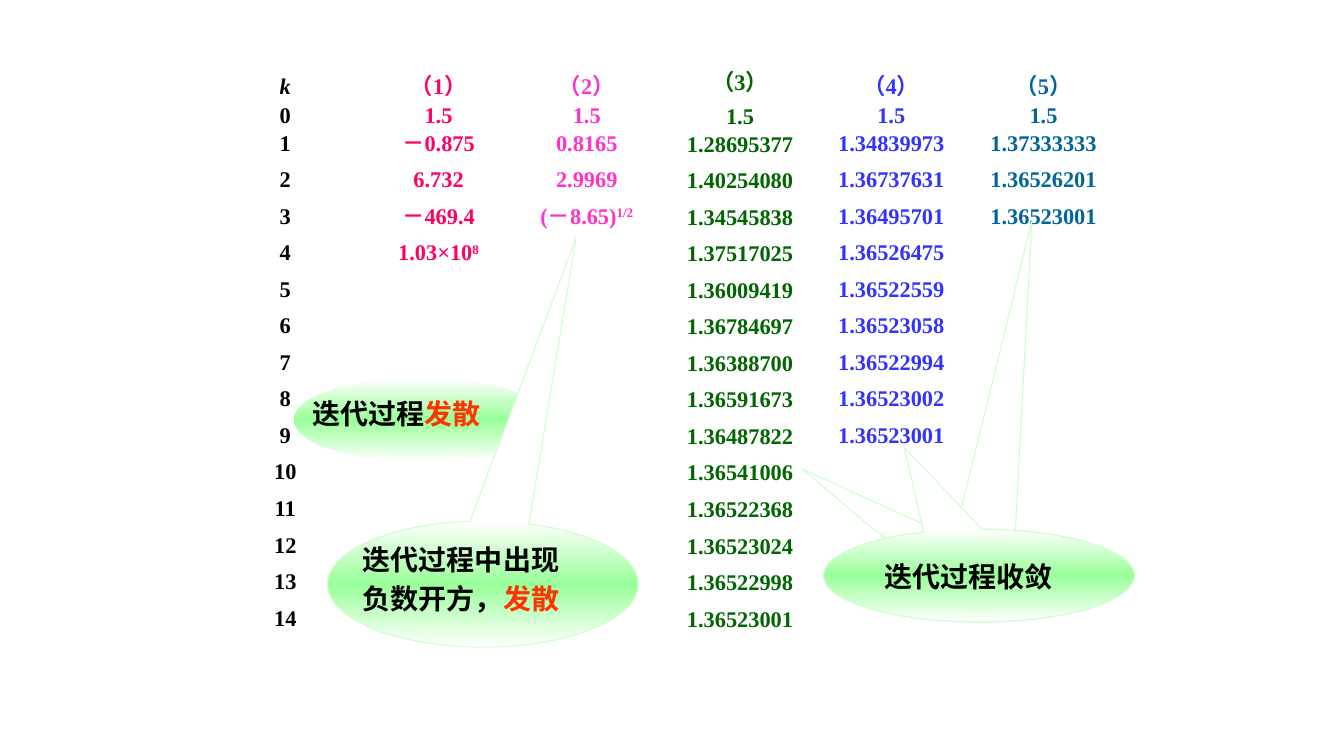
from dataclasses import dataclass

from lxml.etree import SubElement
from pptx import Presentation
from pptx.dml.color import RGBColor
from pptx.enum.shapes import MSO_SHAPE
from pptx.enum.text import MSO_ANCHOR, MSO_AUTO_SIZE, PP_ALIGN
from pptx.oxml import parse_xml
from pptx.oxml.ns import nsdecls, qn
from pptx.slide import Slide
from pptx.text.text import TextFrame, _Paragraph
from pptx.util import Inches, Pt

LATIN = "Times New Roman"
CJK = "Noto Sans CJK SC"
BLACK = "000000"
RED = "FF3300"
HEAD_H = 0.28
ROW_H = 4.71 / 13


@dataclass
class Column:
    left: float
    color: str
    header: str
    values: list[str]
    width: float = 1.3
    header_top: float = 0.67
    top: float = 0.95
    italic: bool = False


@dataclass
class Label:
    left: float
    top: float
    width: float
    height: float
    lines: list[list[tuple[str, str]]]
    wrap: bool = False


@dataclass
class Callout:
    left: float
    top: float
    width: float
    height: float
    tails: list[tuple[float, float]]
    label: Label
    outline: str | None = "CCFFCC"


COLUMNS = [
    Column(6.67, "006600", "（3）",
           ["1.5", "1.28695377", "1.40254080", "1.34545838", "1.37517025",
            "1.36009419", "1.36784697", "1.36388700", "1.36591673", "1.36487822",
            "1.36541006", "1.36522368", "1.36523024", "1.36522998", "1.36523001"],
           width=1.34, header_top=0.63, top=0.96),
    Column(2.18, BLACK, "k", [str(k) for k in range(15)], italic=True),
    Column(3.7, "FF0066", "（1）", ["1.5", "－0.875", "6.732", "－469.4", "1.03×10^8"]),
    Column(5.17, "FF33CC", "（2）", ["1.5", "0.8165", "2.9969", "(－8.65)^1/2"]),
    Column(8.19, "3333FF", "（4）",
           ["1.5", "1.34839973", "1.36737631", "1.36495701", "1.36526475",
            "1.36522559", "1.36523058", "1.36522994", "1.36523002", "1.36523001"]),
    Column(9.7, "006699", "（5）", ["1.5", "1.37333333", "1.36526201", "1.36523001"]),
]

CALLOUTS = [
    Callout(2.92, 3.75, 2.5, 0.83, [(0.03, -1.83)],
            Label(3, 3.88, 1.89, 0.44, [[("迭代过程", BLACK), ("发散", RED)]]),
            outline=None),
    Callout(3.25, 5.17, 3.08, 1.25, [(0.3, -2.75)],
            Label(3.5, 5.33, 2.67, 0.84,
                  [[("迭代过程中出现", BLACK)], [("负数开方，", BLACK), ("发散", RED)]],
                  wrap=True)),
    Callout(8.17, 5.25, 3.08, 0.92, [(0.17, -3.82), (-0.57, -1.15), (-0.24, -1.38)],
            Label(8.67, 5.5, 1.89, 0.44, [[("迭代过程收敛", BLACK)]])),
]


def rgb(color: str) -> RGBColor:
    return RGBColor.from_string(color)


def add_run(p: _Paragraph, text: str, color: str, font: str, size: float,
            italic: bool = False, baseline: int = 0) -> None:
    r = p.add_run()
    r.text = text
    formats = {"name": font, "size": Pt(size), "bold": True, "italic": italic}
    for name, value in formats.items():
        setattr(r.font, name, value)
    r.font.color.rgb = rgb(color)
    rpr = r.font._element
    SubElement(rpr, qn("a:ea")).set("typeface", CJK)
    if baseline:
        rpr.set("baseline", str(baseline))


def space_before(p: _Paragraph) -> None:
    spacing = SubElement(p._p.get_or_add_pPr(), qn("a:spcBef"))
    SubElement(spacing, qn("a:spcPct")).set("val", "20000")


def add_text_box(s: Slide, left: float, top: float, width: float, height: float,
                 wrap: bool, auto_size: MSO_AUTO_SIZE) -> TextFrame:
    box = s.shapes.add_textbox(Inches(left), Inches(top), Inches(width), Inches(height))
    tf = box.text_frame
    formats = {"word_wrap": wrap, "auto_size": auto_size,
               "vertical_anchor": MSO_ANCHOR.TOP}
    for name, value in formats.items():
        setattr(tf, name, value)
    return tf


def add_cell(s: Slide, col: Column, text: str, top: float, height: float,
             italic: bool = False) -> None:
    tf = add_text_box(s, col.left, top, col.width, height, True, MSO_AUTO_SIZE.NONE)
    p = tf.paragraphs[0]
    p.alignment = PP_ALIGN.CENTER
    space_before(p)
    base, _, power = text.partition("^")
    add_run(p, base, col.color, LATIN, 16, italic)
    if power:
        add_run(p, power, col.color, LATIN, 16, baseline=30000)


def add_column(s: Slide, col: Column) -> None:
    first, *rest = col.values
    add_cell(s, col, first, col.top, HEAD_H)
    for i, value in enumerate(rest):
        add_cell(s, col, value, col.top + HEAD_H + i * ROW_H, ROW_H)
    add_cell(s, col, col.header, col.header_top, HEAD_H, col.italic)


def add_label(s: Slide, label: Label) -> None:
    tf = add_text_box(s, label.left, label.top, label.width, label.height,
                      label.wrap, MSO_AUTO_SIZE.SHAPE_TO_FIT_TEXT)
    for i, line in enumerate(label.lines):
        p = tf.add_paragraph() if i else tf.paragraphs[0]
        space_before(p)
        for text, color in line:
            add_run(p, text, color, CJK, 20)


def add_callout(s: Slide, callout: Callout) -> None:
    stops = "".join(
        f'<a:gs pos="{pos}"><a:srgbClr val="{color}"/></a:gs>'
        for pos, color in [(0, "FFFFFF"), (50000, "99FF99"), (100000, "FFFFFF")])
    for tail in callout.tails:
        sp = s.shapes.add_shape(MSO_SHAPE.OVAL_CALLOUT,
                                Inches(callout.left), Inches(callout.top),
                                Inches(callout.width), Inches(callout.height))
        sp.shadow.inherit = False
        for i, value in enumerate(tail):
            sp.adjustments[i] = value
        sp.fill.gradient()
        grad = sp._element.spPr.find(qn("a:gradFill"))
        grad.getparent().replace(grad, parse_xml(
            f'<a:gradFill {nsdecls("a")} rotWithShape="1"><a:gsLst>{stops}</a:gsLst>'
            '<a:lin ang="5400000" scaled="1"/></a:gradFill>'))
        if callout.outline:
            sp.line.color.rgb = rgb(callout.outline)
            sp.line.width = Pt(0.75)
        else:
            sp.line.fill.background()
    add_label(s, callout.label)


def main() -> None:
    prs = Presentation()
    prs.slide_width, prs.slide_height = Inches(13.33), Inches(7.5)
    s = prs.slides.add_slide(prs.slide_layouts[6])
    for col in COLUMNS:
        add_column(s, col)
    for callout in CALLOUTS:
        add_callout(s, callout)
    prs.save("out.pptx")


if __name__ == "__main__":
    main()
